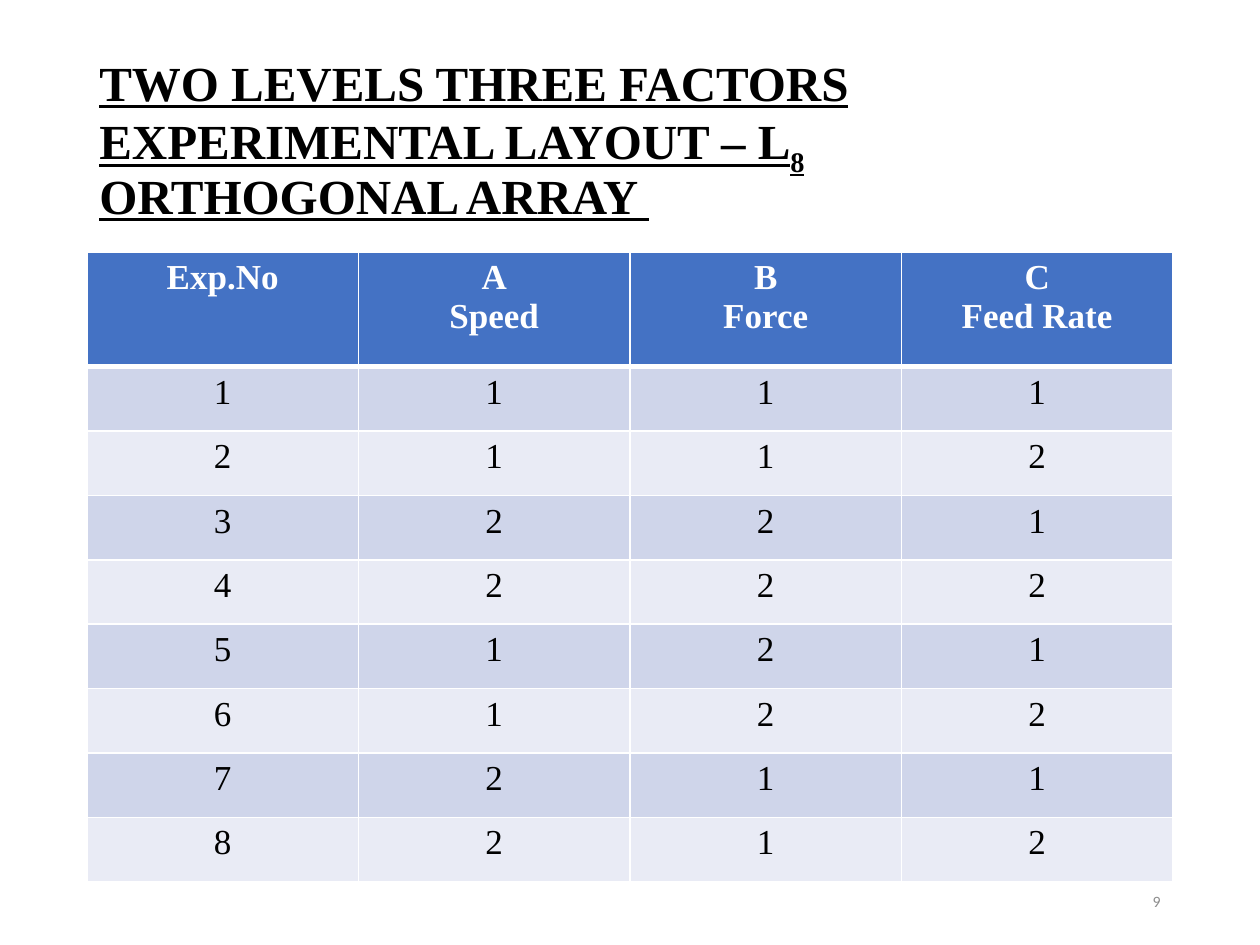
from itertools import product

from lxml.etree import SubElement
from pptx import Presentation
from pptx.dml.color import RGBColor
from pptx.enum.text import MSO_ANCHOR as Anchor, PP_ALIGN as Align
from pptx.oxml.ns import qn
from pptx.util import Inches, Pt

COLORS = {"ink": "000000", "white": "FFFFFF", "header": "4472C4",
          "odd": "CFD5EA", "even": "E9EBF5", "muted": "8C8C8C"}
SERIF = "Times New Roman"
TITLE = {"name": SERIF, "size": Pt(28), "bold": True, "underline": True}
HEAD = {"name": SERIF, "size": Pt(20), "bold": True}
BODY = {"name": SERIF, "size": Pt(20), "bold": False}
NUMBER = {"name": "Calibri", "size": Pt(9)}

LEFT, WIDTH = 0.069, 0.862
FACTORS = ["Exp.No", "A\nSpeed", "B\nForce", "C\nFeed Rate"]
LEVELS = [(1, 1, 1), (1, 1, 2), (2, 2, 1), (2, 2, 2),
          (1, 2, 1), (1, 2, 2), (2, 1, 1), (2, 1, 2)]


class Deck:
    """Holds the style and the current slide; lengths are shares of the slide."""

    def __init__(self, width, height):
        self.prs = Presentation()
        self.prs.slide_width, self.prs.slide_height = Inches(width), Inches(height)
        self.slide = self.prs.slides.add_slide(self.prs.slide_layouts[6])

    def x(self, share):
        return round(self.prs.slide_width * share)

    def y(self, share):
        return round(self.prs.slide_height * share)

    def box(self, left, top, width, height):
        return self.x(left), self.y(top), self.x(width), self.y(height)

    def run(self, p, text, style, color):
        r = p.add_run()
        r.text = text
        for name, value in style.items():
            setattr(r.font, name, value)
        r.font.color.rgb = RGBColor.from_string(COLORS[color])
        return r

    def text(self, box, parts, style, color, align=Align.LEFT, spacing=1.0):
        """Add a text box of one paragraph; parts are (text, baseline) pairs."""
        tf = self.slide.shapes.add_textbox(*self.box(*box)).text_frame
        tf.word_wrap, tf.vertical_anchor = True, Anchor.MIDDLE
        p = tf.paragraphs[0]
        p.alignment, p.line_spacing = align, spacing
        for text, baseline in parts:
            r = self.run(p, text, style, color)
            if baseline:
                r.font._element.set("baseline", str(baseline * 1000))

    def borders(self, cell, bottom):
        tc_pr = cell._tc.get_or_add_tcPr()
        sides = {"lnL": 1, "lnR": 1, "lnT": 1, "lnB": bottom}
        for i, (side, width) in enumerate(sides.items()):
            ln = SubElement(tc_pr, qn(f"a:{side}"), w=str(Pt(width)))
            fill = SubElement(ln, qn("a:solidFill"))
            SubElement(fill, qn("a:srgbClr"), val=COLORS["white"])
            tc_pr.insert(i, ln)

    def cell(self, cell, text, style, color, fill, bottom=1):
        cell.fill.solid()
        cell.fill.fore_color.rgb = RGBColor.from_string(COLORS[fill])
        self.borders(cell, bottom)
        tf = cell.text_frame
        for i, line in enumerate(text.split("\n")):
            p = tf.add_paragraph() if i else tf.paragraphs[0]
            p.alignment = Align.CENTER
            self.run(p, line, style, color)

    def table(self, box, rows, header_height):
        n_rows, n_cols = len(rows), len(rows[0])
        left, top, width, height = self.box(*box)
        table = self.slide.shapes.add_table(
            n_rows, n_cols, left, top, width, height).table
        head = self.y(header_height)
        for i, row in enumerate(table.rows):
            row.height = (height - head) // (n_rows - 1) if i else head
        for i, j in product(range(n_rows), range(n_cols)):
            cell, text = table.cell(i, j), str(rows[i][j])
            if i == 0:
                self.cell(cell, text, HEAD, "white", "header", bottom=3)
            else:
                self.cell(cell, text, BODY, "ink", "odd" if i % 2 else "even")


def main():
    deck = Deck(10, 7.5)
    deck.text((LEFT, 0.4 / 7.5, WIDTH, 1.45 / 7.5),
              [("TWO LEVELS THREE FACTORS EXPERIMENTAL LAYOUT – L", 0),
               ("8", -25), (" ORTHOGONAL ARRAY ", 0)],
              TITLE, "ink", spacing=0.9)
    runs = [(i, *levels) for i, levels in enumerate(LEVELS, 1)]
    deck.table((LEFT, 2 / 7.5, WIDTH, 5 / 7.5), [FACTORS, *runs], 0.91 / 7.5)
    deck.text((0.706, 6.95 / 7.5, 0.225, 0.4 / 7.5), [("9", 0)],
              NUMBER, "muted", Align.RIGHT)
    deck.prs.save("out.pptx")


if __name__ == "__main__":
    main()
